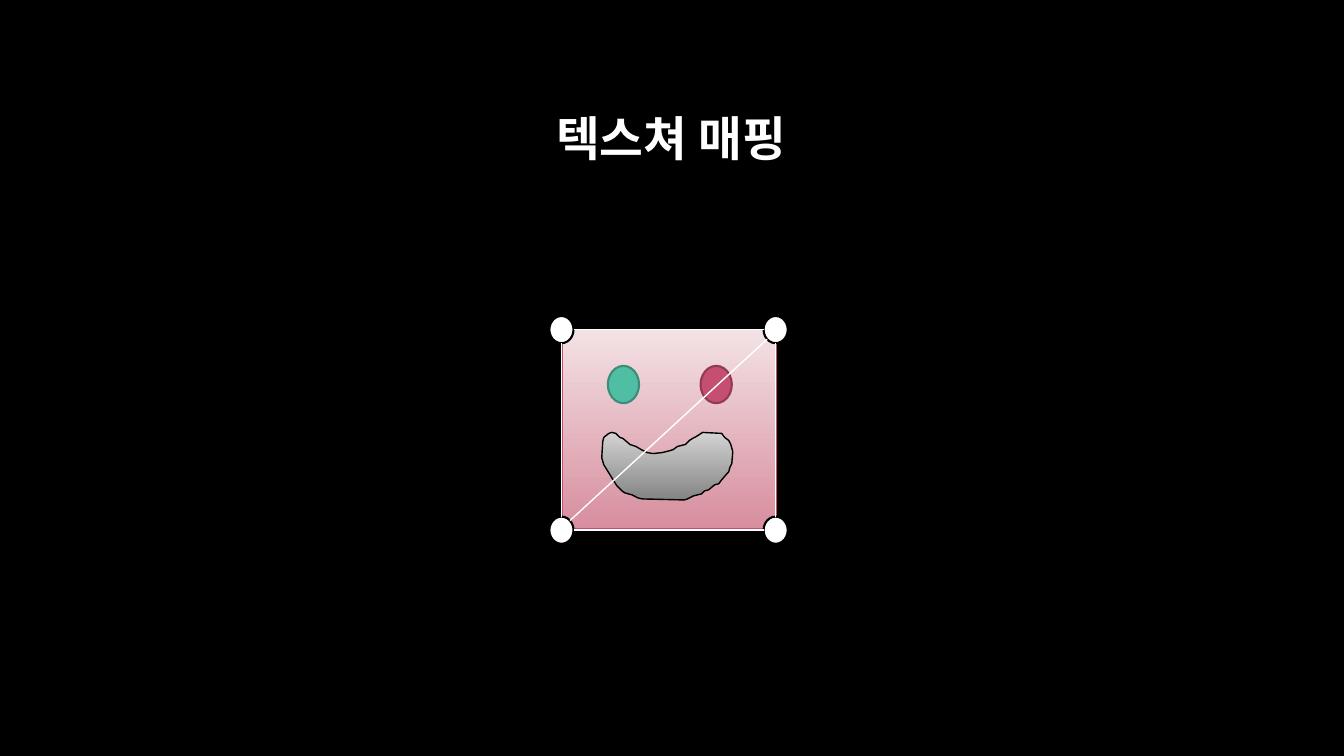
import dataclasses
import itertools
import typing

import lxml.etree
import pptx
import pptx.dml.color
import pptx.enum.shapes
import pptx.enum.text
import pptx.oxml.ns
import pptx.util

Shape = pptx.enum.shapes.MSO_SHAPE
Point = tuple[float, float]


# Theme: colours, type and line widths
@dataclasses.dataclass(frozen=True)
class Theme:
    black: str = "000000"
    white: str = "FFFFFF"
    rose: str = "C54F71"
    wine: str = "923A54"
    mint: str = "50BEA3"
    pine: str = "3B8D79"
    skin: tuple[str, str] = ("F3E2E5", "D78E9E")
    steel: tuple[str, str] = ("D3D3D3", "848484")
    font: str = "Roboto Slab"
    size: float = 34
    thin: float = 1
    thick: float = 1.5


@dataclasses.dataclass(frozen=True)
class Part:
    kind: Shape
    left: float
    top: float
    wide: float
    high: float
    fill: str | tuple[str, str]
    line: str
    width: float


# Grid: square cells, ten to the inch
COLS, ROWS = 133.33, 75
THEME = Theme()


def cell(count: float) -> int:
    return pptx.util.Inches(count / 10)


def hue(code: str) -> pptx.dml.color.RGBColor:
    return pptx.dml.color.RGBColor.from_string(code)


def apply(target: typing.Any, values: dict[str, typing.Any]) -> None:
    for name, value in values.items():
        setattr(target, name, value)


def paint(shape: typing.Any, fill: str | tuple[str, str], line: str, width: float) -> None:
    shape.shadow.inherit = False
    if isinstance(fill, str):
        shape.fill.solid()
        shape.fill.fore_color.rgb = hue(fill)
    else:
        shape.fill.gradient()
        shape.fill.gradient_angle = 270
        for stop, code, place in zip(shape.fill.gradient_stops, fill, (0, 1)):
            stop.color.rgb = hue(code)
            stop.position = place
    shape.line.color.rgb = hue(line)
    shape.line.width = pptx.util.Pt(width)


def draw(shapes: typing.Any, part: Part) -> None:
    box = map(cell, (part.left, part.top, part.wide, part.high))
    paint(shapes.add_shape(part.kind, *box), part.fill, part.line, part.width)


def trace(shapes: typing.Any, points: list[Point]) -> None:
    start, *rest = [(cell(x), cell(y)) for x, y in points]
    pen = shapes.build_freeform(*start)
    pen.add_line_segments(rest, close=True)
    paint(pen.convert_to_shape(), THEME.steel, THEME.black, THEME.thin)


def join(shapes: typing.Any, a: Point, b: Point) -> None:
    """Link two corner dots from rim to rim."""
    steps = [(q > p) - (q < p) for p, q in zip(a, b)]
    share = 0.71 if all(steps) else 1
    gaps = [step * size / 2 * share for step, size in zip(steps, DOT)]
    ends = [a[0] + gaps[0], a[1] + gaps[1], b[0] - gaps[0], b[1] - gaps[1]]
    edge = shapes.add_connector(pptx.enum.shapes.MSO_CONNECTOR.STRAIGHT, *map(cell, ends))
    edge.line.color.rgb = hue(THEME.white)
    edge.line.width = pptx.util.Pt(THEME.thin)
    lxml.etree.SubElement(edge._element.spPr, pptx.oxml.ns.qn("a:effectLst"))


def title(shapes: typing.Any, words: str) -> None:
    frame = shapes.add_textbox(*map(cell, (10, 6.7, 113.2, 14.5))).text_frame
    apply(frame, {"word_wrap": True, "vertical_anchor": pptx.enum.text.MSO_ANCHOR.MIDDLE})
    line = frame.paragraphs[0]
    apply(line, {"alignment": pptx.enum.text.PP_ALIGN.CENTER, "line_spacing": 0.9})
    run = line.add_run()
    run.text = words
    apply(run.font, {"name": THEME.font, "size": pptx.util.Pt(THEME.size), "bold": True})
    run.font.color.rgb = hue(THEME.white)
    east = lxml.etree.SubElement(run.font._element, pptx.oxml.ns.qn("a:ea"))
    east.set("typeface", THEME.font)


# Face: skin, two eyes and the mouth outline
EYE = (3.1, 3.7)
FACE = [
    Part(Shape.RECTANGLE, 55.8, 32.7, 21.2, 19.8, THEME.skin, THEME.rose, THEME.thin),
    Part(Shape.OVAL, 60.3, 36.3, *EYE, THEME.mint, THEME.pine, THEME.thick),
    Part(Shape.OVAL, 69.5, 36.3, *EYE, THEME.rose, THEME.wine, THEME.thick),
]
MOUTH = [
    (60.7, 47.4), (59.9, 46.1), (59.7, 45.4), (59.8, 43.8), (59.9, 43.4), (60.4, 43),
    (60.7, 42.9), (61.1, 43), (61.5, 43.4), (61.8, 43.5), (62.5, 44.1), (63.1, 44.3),
    (63.6, 44.6), (64.2, 44.9), (64.8, 45), (65.7, 44.9), (66.5, 44.7), (66.8, 44.6),
    (67.2, 44.3), (68, 44.1), (68.4, 43.7), (68.7, 43.5), (69.1, 43.3), (69.7, 42.9),
    (71.6, 43), (71.9, 43.4), (72.3, 43.7), (72.5, 44.1), (72.7, 44.8), (72.6, 46),
    (72.4, 46.4), (72.3, 46.8), (71.6, 47.6), (71.3, 48), (70.9, 48.1), (70.3, 48.6),
    (69.9, 48.7), (69.6, 49), (68.8, 49.2), (68.2, 49.5), (67.9, 49.6), (63.7, 49.5),
    (63.3, 49.4), (62.7, 49.1), (62, 48.9), (61.7, 48.7), (61.2, 48.2),
]

# Mesh: corner dots and the edges between them
DOT = (2.4, 2.7)
NODES = list(itertools.product((55.7, 76.95), (32.7, 52.6)))
EDGES = [(0, 1), (0, 2), (2, 3), (1, 3), (1, 2)]


def main() -> None:
    deck = pptx.Presentation()
    apply(deck, {"slide_width": cell(COLS), "slide_height": cell(ROWS)})
    slide = deck.slides.add_slide(deck.slide_layouts[6])
    slide.background.fill.solid()
    slide.background.fill.fore_color.rgb = hue(THEME.black)

    face = slide.shapes.add_group_shape().shapes
    for part in FACE:
        draw(face, part)
    trace(face, MOUTH)

    title(slide.shapes, "텍스쳐 매핑")

    for x, y in NODES:
        left, top = x - DOT[0] / 2, y - DOT[1] / 2
        draw(slide.shapes, Part(Shape.OVAL, left, top, *DOT, THEME.white, THEME.black, THEME.thick))
    for a, b in EDGES:
        join(slide.shapes, NODES[a], NODES[b])

    deck.save("out.pptx")


if __name__ == "__main__":
    main()
